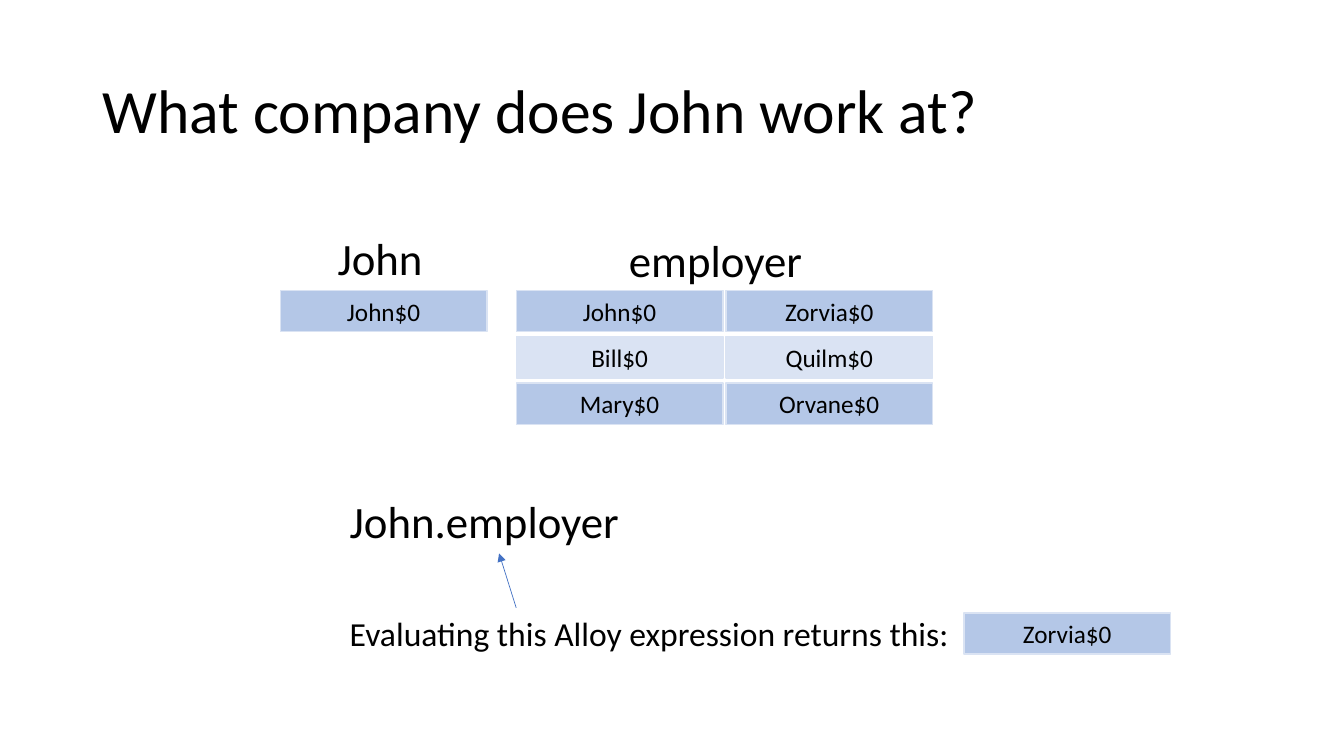
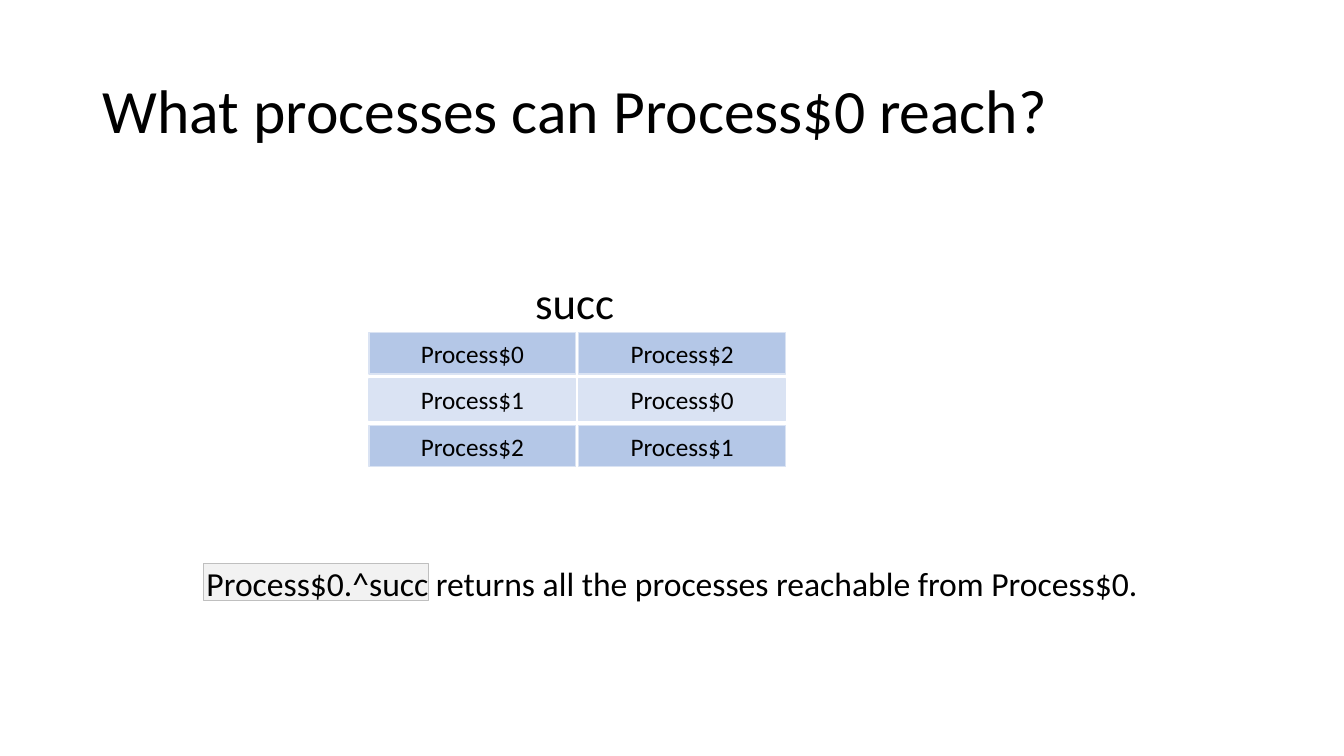
"""Build two slides that explain relational joins and transitive closure in Alloy."""
from lxml.etree import SubElement
from pptx import Presentation
from pptx.dml.color import RGBColor
from pptx.enum.shapes import MSO_CONNECTOR, MSO_SHAPE
from pptx.enum.text import MSO_ANCHOR, PP_ALIGN
from pptx.oxml.ns import qn
from pptx.util import Inches, Pt

FONT = "Calibri"
BLACK = "000000"
BLUE = "B4C7E7"
PALE_BLUE = "DAE3F3"
ARROW_BLUE = "4472C4"
LIGHT_GREY = "F2F2F2"
GREY = "BFBFBF"
ATOM_WIDTH, ATOM_HEIGHT = 2.05, 0.41
COLUMN_STEP, ROW_STEP = 2.08, 0.46


def add_text(shape, text, size, align=PP_ALIGN.LEFT, anchor=MSO_ANCHOR.TOP, spacing=1.0):
    frame = shape.text_frame
    frame.word_wrap = True
    frame.vertical_anchor = anchor
    paragraph = frame.paragraphs[0]
    paragraph.alignment = align
    paragraph.line_spacing = spacing
    run = paragraph.add_run()
    run.text = text
    run.font.name = FONT
    run.font.size = Pt(size)
    run.font.color.rgb = RGBColor.from_string(BLACK)


def add_box(slide, left, top, width, height, fill, line):
    box = slide.shapes.add_shape(
        MSO_SHAPE.RECTANGLE, Inches(left), Inches(top), Inches(width), Inches(height))
    box.shadow.inherit = False
    box.fill.solid()
    box.fill.fore_color.rgb = RGBColor.from_string(fill)
    box.line.color.rgb = RGBColor.from_string(line)
    box.line.width = Pt(1)
    return box


prs = Presentation()
prs.slide_width, prs.slide_height = Inches(13.33), Inches(7.5)
blank = prs.slide_layouts[6]
employer_slide = prs.slides.add_slide(blank)
process_slide = prs.slides.add_slide(blank)

add_box(process_slide, 2.02, 5.59, 2.23, 0.37, LIGHT_GREY, GREY)

for slide, title in [
    (employer_slide, "What company does John work at?"),
    (process_slide, "What processes can Process$0 reach?"),
]:
    heading = slide.shapes.add_textbox(Inches(0.92), Inches(0.4), Inches(11.5), Inches(1.45))
    add_text(heading, title, 44, anchor=MSO_ANCHOR.MIDDLE, spacing=0.9)

for slide, text, size, left, top, width, height in [
    (employer_slide, "John", 32, 3.25, 2.24, 1.1, 0.64),
    (employer_slide, "employer", 32, 6.14, 2.26, 2.24, 0.64),
    (employer_slide, "John.employer", 32, 3.37, 4.85, 2.9, 0.64),
    (employer_slide, "Evaluating this Alloy expression returns this:", 24, 3.37, 6.03, 6.27, 0.5),
    (process_slide, "succ", 32, 5.21, 2.68, 1.06, 0.64),
    (process_slide, "Process$0.^succ returns all the processes reachable from Process$0.",
     24, 1.95, 5.54, 9.64, 0.5),
]:
    label = slide.shapes.add_textbox(Inches(left), Inches(top), Inches(width), Inches(height))
    add_text(label, text, size)

for slide, left, top, relation in [
    (employer_slide, 2.78, 2.88, [["John$0"]]),
    (employer_slide, 5.12, 2.88,
     [["John$0", "Zorvia$0"], ["Bill$0", "Quilm$0"], ["Mary$0", "Orvane$0"]]),
    (employer_slide, 9.56, 6.08, [["Zorvia$0"]]),
    (process_slide, 3.66, 3.3,
     [["Process$0", "Process$2"], ["Process$1", "Process$0"], ["Process$2", "Process$1"]]),
]:
    for row, atoms in enumerate(relation):
        for column, atom in enumerate(atoms):
            cell = add_box(slide, left + column * COLUMN_STEP, top + row * ROW_STEP,
                           ATOM_WIDTH, ATOM_HEIGHT, PALE_BLUE if row % 2 else BLUE, PALE_BLUE)
            add_text(cell, atom, 18, PP_ALIGN.CENTER, MSO_ANCHOR.MIDDLE)

arrow = employer_slide.shapes.add_connector(
    MSO_CONNECTOR.STRAIGHT, Inches(5.12), Inches(6.03), Inches(4.95), Inches(5.49))
arrow.line.color.rgb = RGBColor.from_string(ARROW_BLUE)
arrow.line.width = Pt(0.5)
SubElement(arrow.line._get_or_add_ln(), qn("a:tailEnd"), type="triangle")
SubElement(arrow._element.spPr, qn("a:effectLst"))

prs.save("out.pptx")
